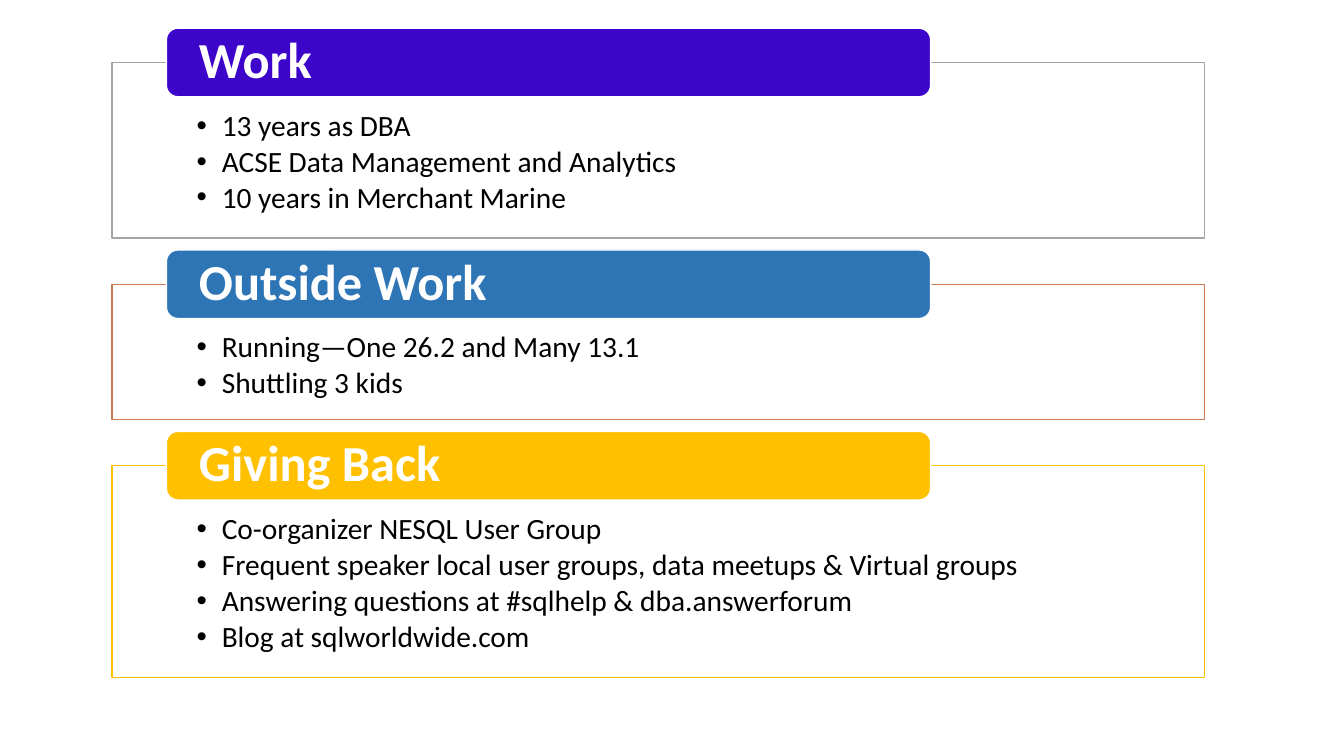
"""Build a speaker profile slide with three titled panels."""
from lxml.etree import SubElement
from pptx import Presentation
from pptx.dml.color import RGBColor
from pptx.enum.shapes import MSO_SHAPE as Shape
from pptx.enum.text import MSO_ANCHOR as Anchor, PP_ALIGN as Align
from pptx.oxml.ns import qn
from pptx.util import Inches, Pt


def rgb(value):
    return RGBColor.from_string(value)


def add_block(kind, left, top, width, height, fill, line, insets):
    block = slide.shapes.add_shape(
        kind, Inches(left), Inches(top), Inches(width), Inches(height))
    block.shadow.inherit = False
    block.fill.solid()
    block.fill.fore_color.rgb = rgb(fill)
    block.line.color.rgb = rgb(line)
    block.line.width = Pt(1)
    frame = block.text_frame
    frame.word_wrap = True
    side, above, below = insets
    frame.margin_left = frame.margin_right = Inches(side)
    frame.margin_top, frame.margin_bottom = Inches(above), Inches(below)
    return block


prs = Presentation()
prs.slide_width, prs.slide_height = Inches(13.33), Inches(7.5)
slide = prs.slides.add_slide(prs.slide_layouts[6])

sections = [
    ("Work", "3D04CA", "A5A5A5", 1.74, [
        "13 years as DBA",
        "ACSE Data Management and Analytics",
        "10 years in Merchant Marine"]),
    ("Outside Work", "2E75B6", "C97B4F", 1.34, [
        "Running—One 26.2 and Many 13.1",
        "Shuttling 3 kids"]),
    ("Giving Back", "FFC000", "FFC000", 2.1, [
        "Co-organizer NESQL User Group",
        "Frequent speaker local user groups, data meetups & Virtual groups",
        "Answering questions at #sqlhelp & dba.answerforum",
        "Blog at sqlworldwide.com"]),
]

top = 0.62
for title, accent, border, height, points in sections:
    panel = add_block(Shape.RECTANGLE, 1.11, top, 10.84, height,
                      "FFFFFF", border, (0.84, 0.48, 0.16))
    white = panel.fill._xPr.find(qn("a:solidFill"))[0]
    SubElement(white, qn("a:alpha"), val="90000")
    details = panel.text_frame
    details.vertical_anchor = Anchor.TOP
    for number, point in enumerate(points):
        item = details.add_paragraph() if number else details.paragraphs[0]
        item.level = 1
        item.alignment = Align.LEFT
        item.line_spacing = 0.9
        item.space_after = Pt(3)
        props = item._p.get_or_add_pPr()
        props.set("marL", str(Inches(0.25)))
        props.set("indent", str(Inches(-0.25)))
        SubElement(props, qn("a:buFont"), typeface="Arial")
        SubElement(props, qn("a:buChar"), char="•")
        run = item.add_run()
        run.text = point
        run.font.name, run.font.size = "Calibri", Pt(21)
        run.font.color.rgb = rgb("000000")

    banner = add_block(Shape.ROUNDED_RECTANGLE, 1.65, top - 0.34, 7.58, 0.68,
                       accent, "FFFFFF", (0.29, 0, 0))
    banner.text_frame.vertical_anchor = Anchor.MIDDLE
    heading = banner.text_frame.paragraphs[0]
    heading.alignment = Align.LEFT
    heading.line_spacing = 0.9
    run = heading.add_run()
    run.text = title
    run.font.name, run.font.size, run.font.bold = "Calibri", Pt(36), True
    run.font.color.rgb = rgb("FFFFFF")
    top += height + 0.46

prs.save("out.pptx")
